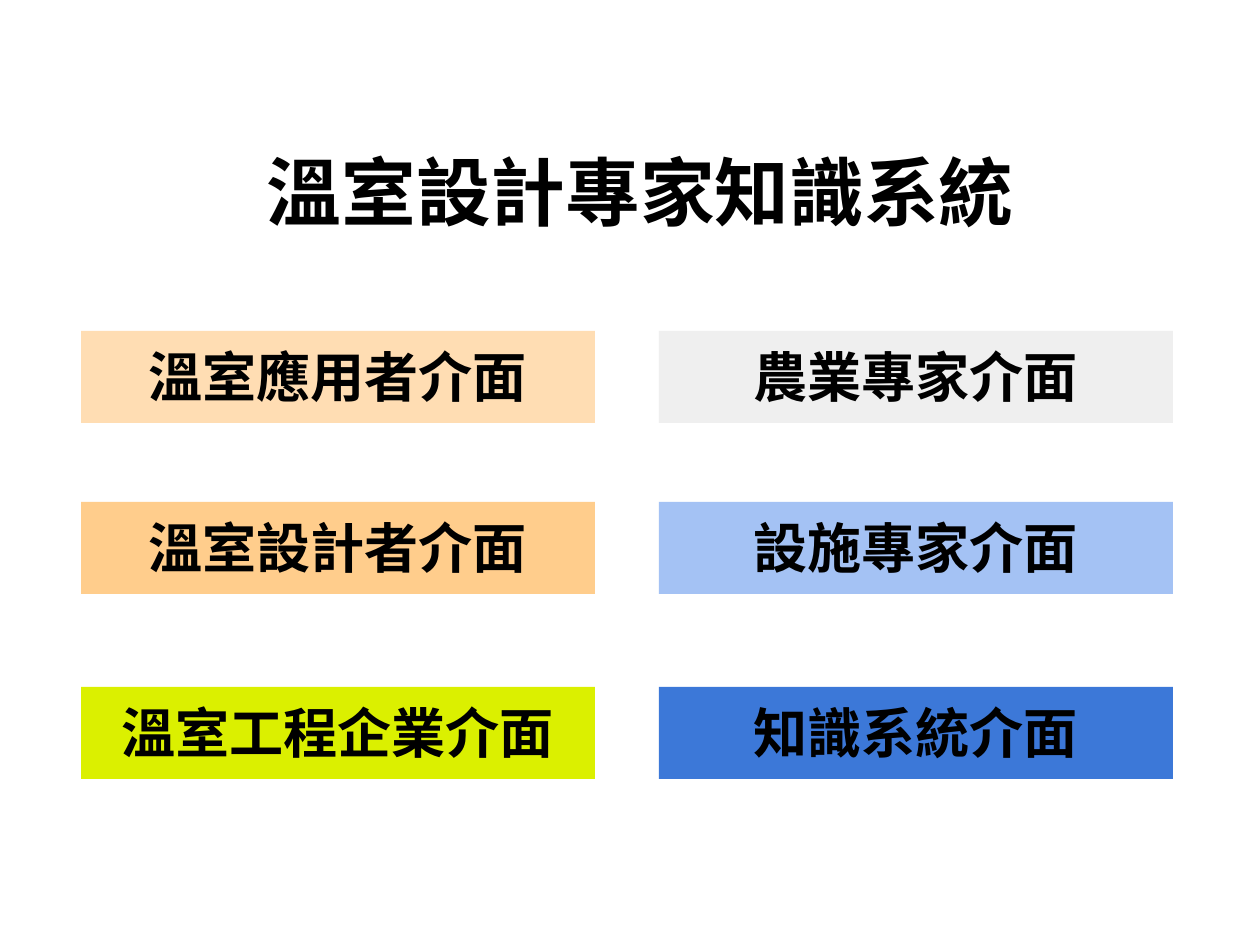
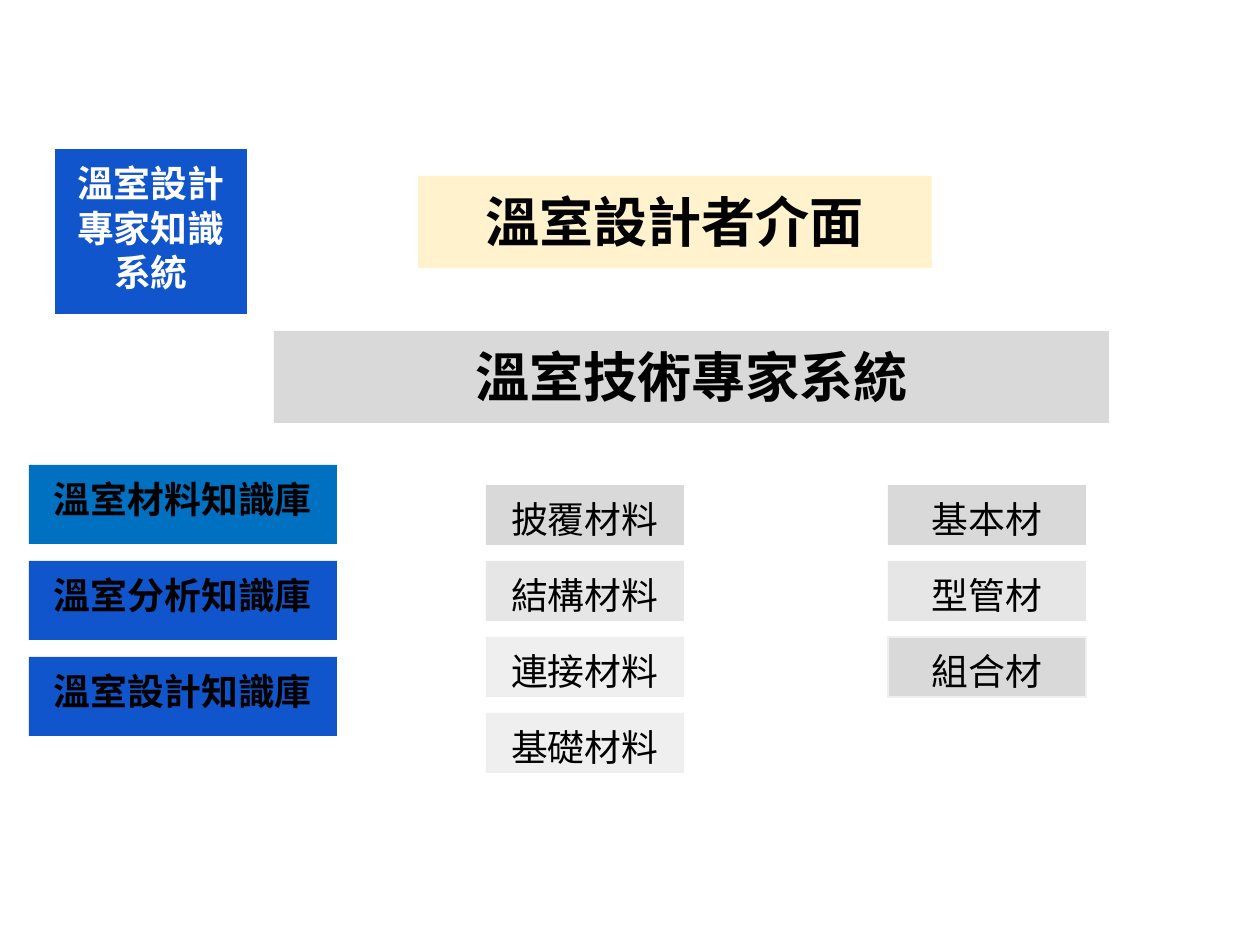
from dataclasses import dataclass

from lxml import etree
from pptx import Presentation
from pptx import util as u
from pptx.dml.color import RGBColor
from pptx.enum import shapes, text
from pptx.oxml import ns


@dataclass(frozen=True)
class Theme:
    font: str = "Arial"
    black: str = "000000"
    white: str = "FFFFFF"
    cream: str = "FFF2CC"
    peach: str = "FFDDB3"
    orange: str = "FFCD8C"
    lime: str = "DBF000"
    pale_gray: str = "EFEFEF"
    light_gray: str = "E6E6E6"
    gray: str = "D9D9D9"
    sky: str = "A4C2F4"
    blue: str = "3C78D8"
    teal: str = "0070C0"
    navy: str = "1155CC"
    title_size: float = 32
    heading_size: float = 23.2
    label_size: float = 15.8


theme = Theme()
PX_PER_INCH = 168
INSET = 12


def px(length):
    return u.Emu(round(length * u.Inches(1) / PX_PER_INCH))


def add_box(page, words, place, fill=None, size=theme.heading_size,
            bold=True, color=theme.black, line=None):
    """Add centred text at place (left, top, width, height); no fill makes a plain text box."""
    place = [px(length) for length in place]
    if fill:
        box = page.shapes.add_shape(shapes.MSO_SHAPE.RECTANGLE, *place)
        box.shadow.inherit = False
        box.fill.solid()
        box.fill.fore_color.rgb = RGBColor.from_string(fill)
        if line:
            box.line.color.rgb = RGBColor.from_string(line)
            box.line.width = u.Pt(0.75)
        else:
            box.line.fill.background()
    else:
        box = page.shapes.add_textbox(*place)

    frame = box.text_frame
    frame_format = {"word_wrap": True, "vertical_anchor": text.MSO_ANCHOR.TOP}
    for side in ("left", "top", "right", "bottom"):
        frame_format[f"margin_{side}"] = px(INSET)
    for name, value in frame_format.items():
        setattr(frame, name, value)

    para = frame.paragraphs[0]
    para.alignment = text.PP_ALIGN.CENTER
    span = para.add_run()
    span.text = words
    span.font.color.rgb = RGBColor.from_string(color)
    for name, value in {"name": theme.font, "size": u.Pt(size), "bold": bold}.items():
        setattr(span.font, name, value)
    # Chinese characters take their typeface from the East Asian font
    latin = span.font._element.find(ns.qn("a:latin"))
    east_asian = etree.Element(ns.qn("a:ea"), typeface=theme.font)
    latin.addnext(east_asian)


deck = Presentation()
deck.slide_width, deck.slide_height = px(1260), px(945)
blank = deck.slide_layouts[6]

HEADING_WIDTH, HEADING_HEIGHT = 514, 92

# Slide 1: overview of the interfaces
page = deck.slides.add_slide(blank)
add_box(page, "溫室設計專家知識系統", (254, 134, 773, 102), size=theme.title_size)

interface_rows = [
    (331, [("溫室應用者介面", theme.peach), ("農業專家介面", theme.pale_gray)]),
    (502, [("溫室設計者介面", theme.orange), ("設施專家介面", theme.sky)]),
    (687, [("溫室工程企業介面", theme.lime), ("知識系統介面", theme.blue)]),
]
for top, interfaces in interface_rows:
    for left, (words, fill) in zip((81, 659), interfaces):
        add_box(page, words, (left, top, HEADING_WIDTH, HEADING_HEIGHT), fill)

# Slide 2: the designer interface
page = deck.slides.add_slide(blank)
add_box(page, "溫室設計者介面", (418, 176, HEADING_WIDTH, HEADING_HEIGHT), theme.cream)
add_box(page, "溫室技術專家系統", (274, 331, 835, HEADING_HEIGHT), theme.gray)
add_box(page, "溫室設計專家知識系統", (55, 149, 192, 165), theme.navy,
        size=theme.label_size, color=theme.white)

knowledge_bases = [
    ("溫室材料知識庫", theme.teal),
    ("溫室分析知識庫", theme.navy),
    ("溫室設計知識庫", theme.navy),
]
for row, (words, fill) in enumerate(knowledge_bases):
    add_box(page, words, (29, 465 + 96 * row, 308, 79), fill, size=theme.label_size)

material_columns = [
    (486, [
        ("披覆材料", theme.gray, None),
        ("結構材料", theme.light_gray, None),
        ("連接材料", theme.pale_gray, None),
        ("基礎材料", theme.pale_gray, None),
    ]),
    (888, [
        ("基本材", theme.gray, None),
        ("型管材", theme.light_gray, None),
        ("組合材", theme.gray, theme.pale_gray),
    ]),
]
for left, materials in material_columns:
    for row, (words, fill, line) in enumerate(materials):
        add_box(page, words, (left, 485 + 76 * row, 198, 60), fill,
                size=theme.label_size, bold=False, line=line)

deck.save("out.pptx")
